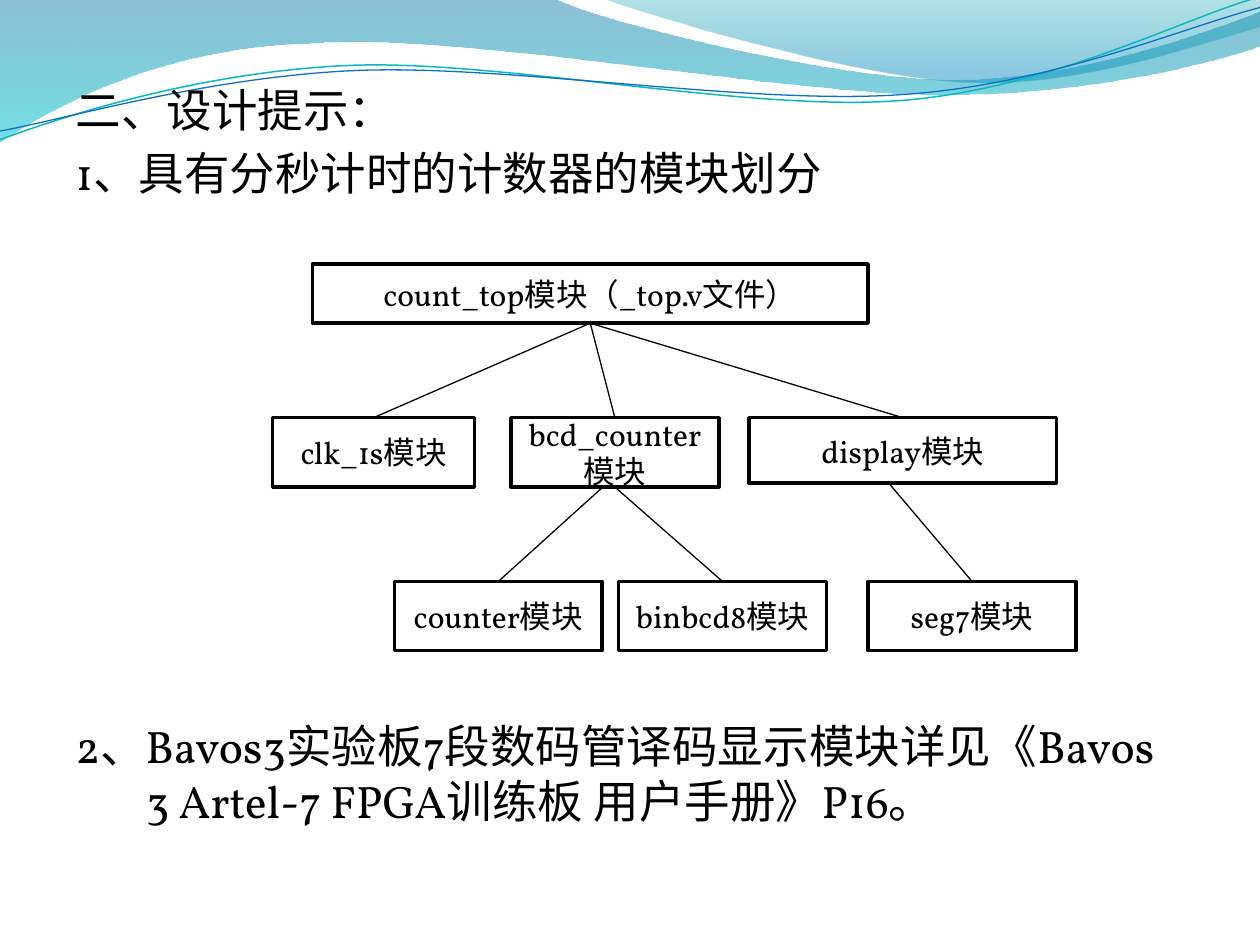
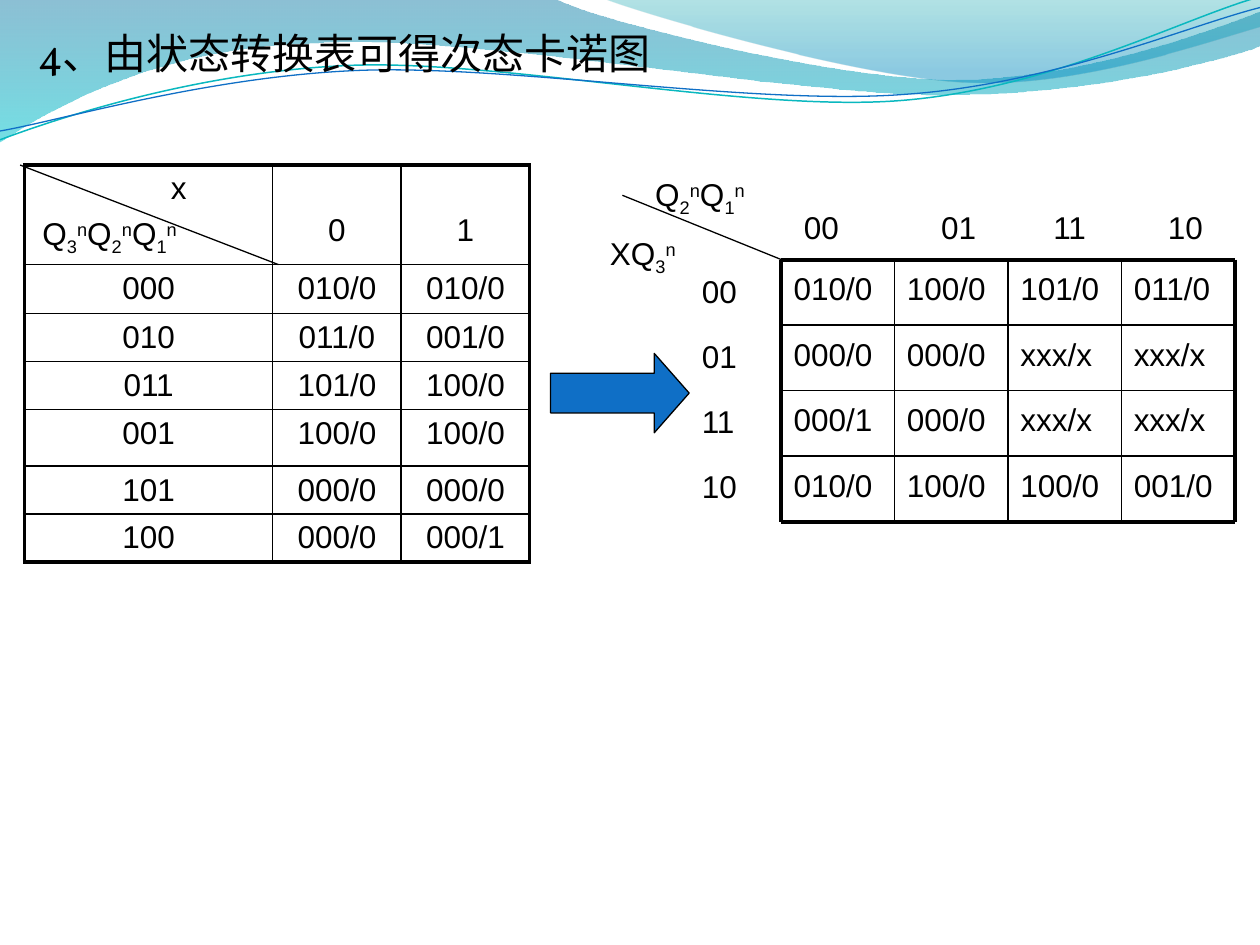
"""Build two slides on a counter's modules and a next-state Karnaugh map."""
from itertools import groupby
from lxml import etree
from pptx import Presentation
from pptx.dml.color import RGBColor
from pptx.enum.shapes import MSO_CONNECTOR as Link, MSO_SHAPE as Shape
from pptx.enum.text import MSO_ANCHOR as Anchor, MSO_AUTO_SIZE as Fit, PP_ALIGN as Align
from pptx.oxml.ns import qn
from pptx.util import Emu, Pt

deck = Presentation()
deck.slide_width, deck.slide_height = Emu(9144000), Emu(6858000)
UNIT = deck.slide_width / 100
rgb = RGBColor.from_string
BLACK, WHITE, BLUE, TEAL = "000000", "FFFFFF", "0F6FC6", "0AB8BF"
THIN, INNER, OUTER = 0.75, 1, 2.25
HEADING = {"name": "Vollkorn", "size": Pt(26)}
SUBHEADING = {"name": "Vollkorn", "size": Pt(24)}
MODULE = {"name": "Vollkorn", "size": Pt(18)}
DATA = {"name": "Arial", "size": Pt(18)}
TOP_FRAME = {"word_wrap": True, "auto_size": Fit.NONE, "vertical_anchor": Anchor.TOP}
BARE_FRAME = {"word_wrap": True, "margin_left": 0, "margin_right": 0,
              "margin_top": 0, "margin_bottom": 0}
INDICES = {"n": "30000", "1": "-25000", "2": "-25000", "3": "-25000"}


def grid(*cells):
    """Turn counts of grid cells, 100 across and 75 down, into lengths."""
    return [Emu(round(cell * UNIT)) for cell in cells]


def write(para, text, look, baselines={}):
    """Add text to a paragraph, raising or lowering the listed characters."""
    for baseline, letters in groupby(text, key=baselines.get):
        span = para.add_run()
        span.text = "".join(letters)
        for key, value in look.items():
            setattr(span.font, key, value)
        span.font.color.rgb = rgb(BLACK)
        if baseline:
            span._r.get_or_add_rPr().set("baseline", baseline)


modules_page = deck.slides.add_slide(deck.slide_layouts[1])
map_page = deck.slides.add_slide(deck.slide_layouts[5])

waves = [
    {"steps": [[(0, 0)], [(44, -0.1)], [(47.6, 1.7), (66.4, 6.3), (75.8, 6.3)],
               [(85.3, 6.3), (95.8, 2.6), (100, 0.9)], [(100.1, 3.6)],
               [(98.3, 4.4), (87, 7.6), (74.6, 7.5)],
               [(62.2, 7.5), (38.2, 2.8), (25.7, 3.4)],
               [(12.9, 3.6), (4.6, 8.3), (-0.1, 11.3)]],
     "stops": [(0, "0074A1", 45), (1, "00C6CF", 55)]},
    {"steps": [[(47.9, -0.1)], [(50.9, 1.1), (68.2, 6.2), (76.9, 6.5)],
               [(85.6, 6.9), (96.1, 3.2), (100, 2.1)], [(100, 0)]],
     "stops": [(0, "00A1A9", 30), (0.8, "008BBF", 45)]},
    {"steps": [[(0, 11.1)], [(4.8, 9.3), (15.8, 5.7), (27.7, 5.2)],
               [(39.5, 4.7), (59.3, 8.9), (71.3, 8)],
               [(83.3, 7.1), (93.8, 1.5), (99.8, -0.2)]],
     "line": (TEAL, 0.85)},
    {"steps": [[(0, 10.4)], [(4.7, 9.6), (16.4, 6.1), (28.3, 5.6)],
               [(40.3, 5.1), (59.7, 8.4), (71.7, 7.5)],
               [(83.6, 6.7), (94.1, 2.1), (100, 0.6)]],
     "line": (BLUE, THIN)},
]
for order, wave in enumerate(waves):
    start, *steps = wave["steps"]
    outline = modules_page.shapes.build_freeform(*grid(*start[0]))
    outline.add_line_segments([grid(*point) for step in steps for point in step],
                              close="stops" in wave)
    curve = outline.convert_to_shape()
    segments = iter(list(curve.element.iter(qn("a:lnTo"))))
    for step in steps:
        group = [next(segments) for _ in step]
        if len(group) == 3:
            bend = etree.Element(qn("a:cubicBezTo"))
            group[0].addprevious(bend)
            for segment in group:
                bend.append(segment[0])
                segment.getparent().remove(segment)
    curve.shadow.inherit = False
    if "stops" in wave:
        curve.line.fill.background()
        curve.fill.gradient()
        curve.fill.gradient_angle = 270
        for stop, (position, colour, _) in zip(curve.fill.gradient_stops, wave["stops"]):
            stop.position, stop.color.rgb = position, rgb(colour)
        for tint, (_, _, opacity) in zip(curve.element.iter(qn("a:srgbClr")), wave["stops"]):
            etree.SubElement(tint, qn("a:alpha")).set("val", str(opacity * 1000))
    else:
        colour, weight = wave["line"]
        curve.fill.background()
        curve.line.color.rgb, curve.line.width = rgb(colour), Pt(weight)
    curve.element.nvSpPr.cNvPr.id = 20 + order
    deck.slide_master.shapes.element.insert(2 + order, curve.element)

texts = [
    (modules_page.shapes.title, (5, 6, 90, 5), HEADING, 0, 1, [("二、设计提示：", 0)]),
    (modules_page.placeholders[1], (5, 11, 90, 55), HEADING, 5.6, 1,
     [("1、具有分秒计时的计数器的模块划分", 0),
      ("2、Bavos3实验板7段数码管译码显示模块详见《Bavos 3 Artel-7 FPGA训练板 用户手册》P16。", 296.5)]),
    (map_page.shapes.title, (2, 2.1, 54.3, 5.5), SUBHEADING, 0, 0.9,
     [("4、由状态转换表可得次态卡诺图", 0)]),
]
for box, place, look, hang, spacing, lines in texts:
    box.left, box.top, box.width, box.height = grid(*place)
    frame = box.text_frame
    for key, value in TOP_FRAME.items():
        setattr(frame, key, value)
    for number, (text, space) in enumerate(lines):
        para = frame.add_paragraph() if number else frame.paragraphs[0]
        para.alignment, para.line_spacing, para.space_before = Align.LEFT, spacing, Pt(space)
        margins = para._p.get_or_add_pPr()
        margins.set("marL", str(grid(hang)[0]))
        margins.set("indent", str(-grid(hang)[0]))
        etree.SubElement(margins, qn("a:buNone"))
        write(para, text, look)

modules = {
    "count_top": ("count_top模块（_top.v文件）", 24.8, 20.95, 44.1, 4.7),
    "clk_1s": ("clk_1s模块", 21.65, 33.15, 16, 5.5),
    "bcd_counter": ("bcd_counter模块", 40.55, 33.15, 16.5, 5.5),
    "display": ("display模块", 59.45, 33.15, 24.4, 5.2),
    "counter": ("counter模块", 31.3, 46.15, 16.5, 5.5),
    "binbcd8": ("binbcd8模块", 49.1, 46.15, 16.5, 5.5),
    "seg7": ("seg7模块", 68.9, 46.15, 16.5, 5.5),
}
boxes = {}
for name, (text, *place) in modules.items():
    box = boxes[name] = modules_page.shapes.add_shape(Shape.RECTANGLE, *grid(*place))
    box.shadow.inherit = False
    box.fill.solid()
    box.fill.fore_color.rgb = rgb(WHITE)
    box.line.color.rgb, box.line.width = rgb(BLACK), Pt(2)
    box.text_frame.vertical_anchor = Anchor.MIDDLE
    para = box.text_frame.paragraphs[0]
    para.alignment = Align.CENTER
    write(para, text, MODULE)

states = ["x 0 1", "000 010/0 010/0", "010 011/0 001/0", "011 101/0 100/0",
          "001 100/0 100/0", "101 000/0 000/0", "100 000/0 000/1"]
cols, rows = [19.7, 10.2, 10.2], [7.9, 3.9, 3.8, 3.8, 4.5, 3.8, 3.8]
table = map_page.shapes.add_table(
    len(rows), len(cols), *grid(1.95, 13.1, sum(cols), sum(rows))).table
table.first_row = table.horz_banding = False
for column, width in zip(table.columns, grid(*cols)):
    column.width = width
for row, height in zip(table.rows, grid(*rows)):
    row.height = height
for r, line in enumerate(states):
    for c, value in enumerate(line.split()):
        cell = table.cell(r, c)
        cell.fill.background()
        para = cell.text_frame.paragraphs[0]
        para.alignment = Align.CENTER
        write(para, value, DATA)
        if value == "x":
            para._p.get_or_add_pPr().set("marL", str(grid(4.8)[0]))
        elif r == 0:
            cell.vertical_anchor, cell.margin_bottom = Anchor.BOTTOM, grid(1.3)[0]
        edges = {"L": c == 0, "R": c == len(cols) - 1, "T": r == 0, "B": r == len(rows) - 1}
        for order, (side, outer) in enumerate(edges.items()):
            border = etree.Element(qn("a:ln" + side), w=str(Pt(OUTER if outer else INNER)))
            ink = etree.SubElement(border, qn("a:solidFill"))
            etree.SubElement(ink, qn("a:srgbClr")).set("val", BLACK)
            cell._tc.get_or_add_tcPr().insert(order, border)

labels = [
    ("Q3nQ2nQ1n", 1.6, 17, 14.2, Align.CENTER, INDICES),
    ("XQ3n", 48.4, 18.6, 7.1, Align.LEFT, INDICES),
    ("Q2nQ1n", 52, 13.9, 8.7, Align.LEFT, INDICES),
]
codes = ["00", "01", "11", "10"]
for number, (code, left) in enumerate(zip(codes, [63.8, 74.7, 83.6, 92.7])):
    labels.append((code, 55.7, 21.6 + 5.15 * number, 5.1, Align.LEFT, {}))
    labels.append((code, left, 16.5, 5, Align.LEFT, {}))
for text, left, top, width, alignment, baselines in labels:
    frame = map_page.shapes.add_textbox(*grid(left, top, width, 3)).text_frame
    for key, value in BARE_FRAME.items():
        setattr(frame, key, value)
    frame.paragraphs[0].alignment = alignment
    write(frame.paragraphs[0], text, DATA, baselines)

MAP_LEFT, MAP_TOP, MAP_COL, MAP_ROW = 62, 20.6, 9, 5.2
MAP_RIGHT, MAP_BOTTOM = MAP_LEFT + 4 * MAP_COL, MAP_TOP + 4 * MAP_ROW
next_states = ["010/0 100/0 101/0 011/0", "000/0 000/0 xxx/x xxx/x",
               "000/1 000/0 xxx/x xxx/x", "010/0 100/0 100/0 001/0"]
for r, line in enumerate(next_states):
    for c, value in enumerate(line.split()):
        place = grid(MAP_LEFT + c * MAP_COL, MAP_TOP + r * MAP_ROW, MAP_COL, MAP_ROW)
        frame = map_page.shapes.add_textbox(*place).text_frame
        frame.word_wrap, frame.margin_top = True, grid(0.75)[0]
        write(frame.paragraphs[0], value, DATA)

arrow = map_page.shapes.add_shape(Shape.RIGHT_ARROW, *grid(43.7, 28.05, 11, 6.3))
arrow.shadow.inherit = False
arrow.adjustments[0], arrow.adjustments[1] = 0.5, 0.44
arrow.fill.solid()
arrow.fill.fore_color.rgb = rgb(BLUE)
arrow.line.color.rgb, arrow.line.width = rgb(BLACK), Pt(THIN)

links = [
    (modules_page, "count_top", "clk_1s", THIN),
    (modules_page, "count_top", "bcd_counter", THIN),
    (modules_page, "count_top", "display", THIN),
    (modules_page, (47.8, 38.7), "counter", THIN),
    (modules_page, "bcd_counter", "binbcd8", THIN),
    (modules_page, (70.5, 38.3), "seg7", THIN),
    (map_page, (1.6, 13.1), (22.1, 21), THIN),
    (map_page, (49.4, 15.5), (MAP_LEFT, MAP_TOP), THIN),
]
for step in range(5):
    weight = OUTER if step in (0, 4) else INNER
    x, y = MAP_LEFT + step * MAP_COL, MAP_TOP + step * MAP_ROW
    links.append((map_page, (MAP_LEFT, y), (MAP_RIGHT, y), weight))
    links.append((map_page, (x, MAP_TOP), (x, MAP_BOTTOM), weight))
for page, start, end, weight in links:
    ends = [(0, 0) if point in boxes else point for point in (start, end)]
    link = page.shapes.add_connector(Link.STRAIGHT, *grid(*ends[0], *ends[1]))
    if start in boxes:
        link.begin_connect(boxes[start], 2)
    if end in boxes:
        link.end_connect(boxes[end], 0)
    link.line.color.rgb, link.line.width = rgb(BLACK), Pt(weight)
    etree.SubElement(link.element.spPr, qn("a:effectLst"))

deck.save("out.pptx")
